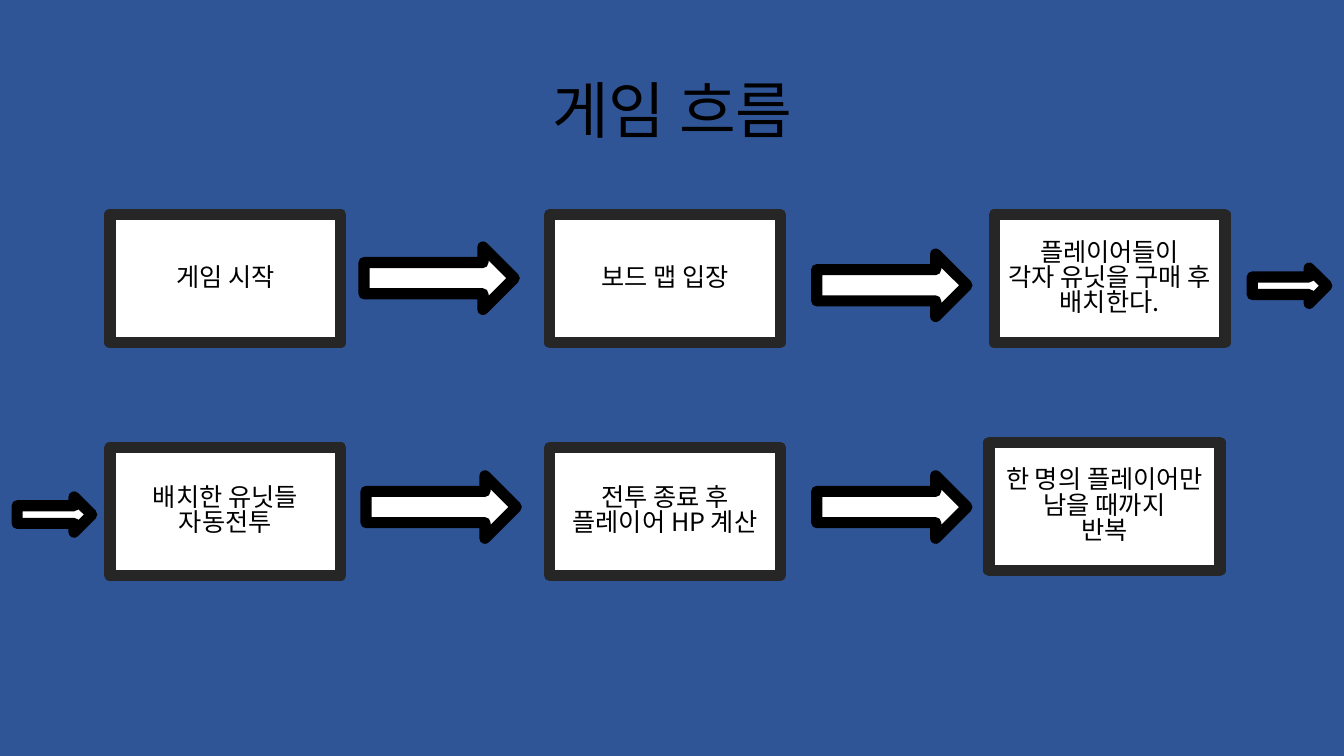
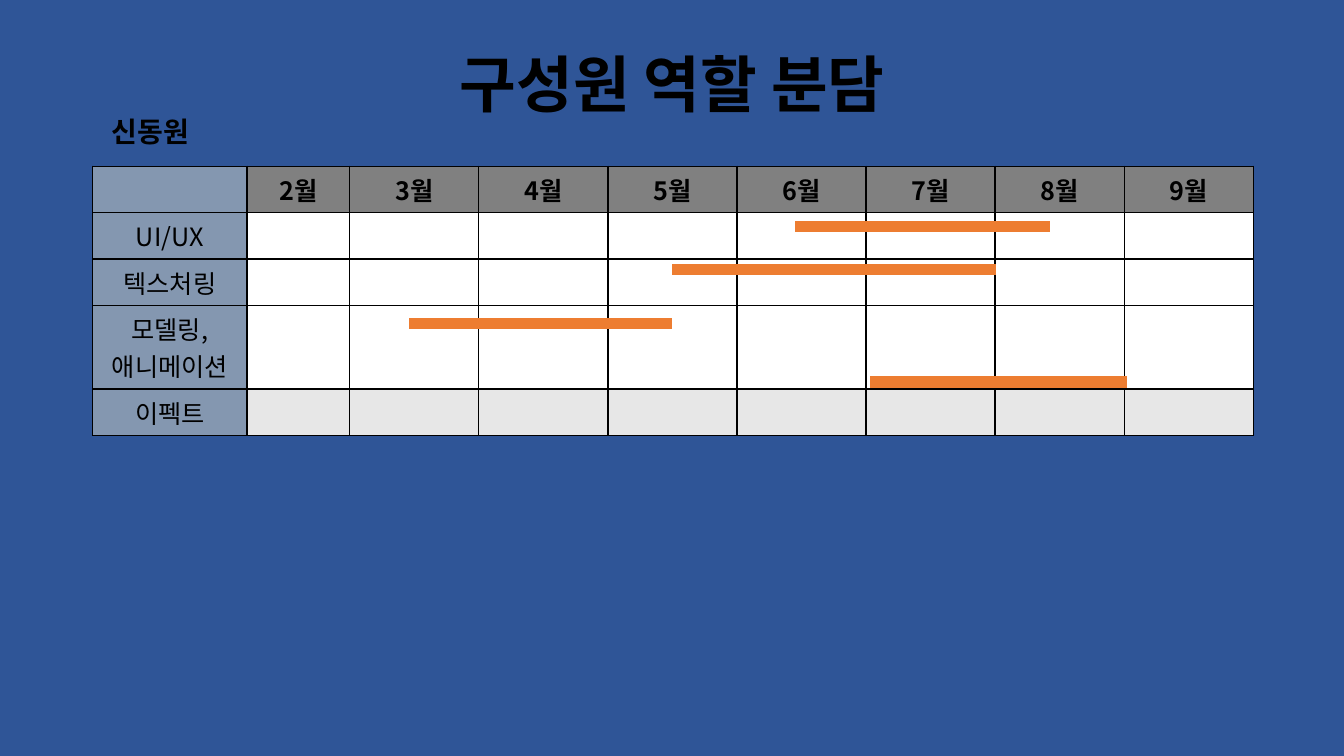
from lxml import etree
from pptx import Presentation
from pptx.dml.color import RGBColor
from pptx.enum.shapes import MSO_CONNECTOR, MSO_SHAPE
from pptx.enum.text import MSO_ANCHOR, PP_ALIGN
from pptx.oxml.ns import qn
from pptx.util import Inches, Pt

CENTER = PP_ALIGN.CENTER
MIDDLE = MSO_ANCHOR.MIDDLE
RECTANGLE = MSO_SHAPE.RECTANGLE
RIGHT_ARROW = MSO_SHAPE.RIGHT_ARROW
STRAIGHT = MSO_CONNECTOR.STRAIGHT

FONT = "Noto Sans CJK KR"
THICK = 8
COLORS = {
    "background": "2F5597",
    "text": "000000",
    "white": "FFFFFF",
    "frame": "262626",
    "arrow": "000000",
    "month": "808080",
    "task": "8497B0",
    "shaded": "E7E7E7",
    "border": "000000",
    "bar": "ED7D31",
}

STEPS = [
    (1.09, 2.13, "게임 시작"),
    (5.45, 2.13, "보드 맵 입장"),
    (9.86, 2.13, "플레이어들이\n각자 유닛을 구매 후 배치한다."),
    (1.09, 4.44, "배치한 유닛들\n자동전투"),
    (5.45, 4.44, "전투 종료 후\n플레이어 HP 계산"),
    (9.81, 4.39, "한 명의 플레이어만 남을 때까지\n반복"),
]
STEP_SIZE = (2.29, 1.27)
LONG_ARROWS = [(3.61, 2.45), (8.1, 2.52), (3.63, 4.72), (8.1, 4.72)]
LONG_SIZE = (1.49, 0.62)
SHORT_ARROWS = [(12.42, 2.66), (0.17, 4.93)]
SHORT_SIZE = (0.74, 0.35)

MONTHS = [f"{month}월" for month in range(2, 10)]
TASKS = ["UI/UX", "텍스처링", "모델링,\n애니메이션", "이펙트"]
COLUMN_WIDTHS = [1.53, 1.02] + [1.28] * 7
ROW_HEIGHTS = [0.46, 0.46, 0.46, 0.83, 0.46]
BARS = [(7.89, 10.41, 2.25), (4.06, 6.67, 3.21), (6.67, 9.88, 2.67), (8.63, 11.18, 3.79)]


def color(name):
    """Return a named colour of the palette."""
    return RGBColor.from_string(COLORS[name])


def write(frame, text, size=18, bold=False, spacing=None):
    """Fill a text frame with centred paragraphs in the shared font."""
    frame.text = text
    for para in frame.paragraphs:
        para.alignment = CENTER
        if spacing:
            para.line_spacing = spacing
        for span in para.runs:
            span.font.name = FONT
            span.font.size = Pt(size)
            span.font.bold = bold
            span.font.color.rgb = color("text")
            east_asian = etree.SubElement(span.font._element, qn("a:ea"))
            east_asian.set("typeface", FONT)


def add_label(page, position, text, size, bold=True):
    """Add a heading text box, centred both ways."""
    box = page.shapes.add_textbox(*map(Inches, position))
    box.text_frame.word_wrap = True
    box.text_frame.vertical_anchor = MIDDLE
    write(box.text_frame, text, size, bold, 0.9)


def add_outlined(page, kind, position, size, line):
    """Add a white shape with a thick outline."""
    shape = page.shapes.add_shape(kind, *map(Inches, position + size))
    shape.shadow.inherit = False
    shape.fill.solid()
    shape.fill.fore_color.rgb = color("white")
    shape.line.color.rgb = color(line)
    shape.line.width = Pt(THICK)
    return shape


def add_step(page, left, top, text):
    """Add one step of the game flow."""
    box = add_outlined(page, RECTANGLE, (left, top), STEP_SIZE, "frame")
    box.text_frame.word_wrap = True
    box.text_frame.vertical_anchor = MIDDLE
    write(box.text_frame, text, spacing=0.83)


def add_bar(page, start, end, top):
    """Add a schedule bar as a thick horizontal line."""
    bar = page.shapes.add_connector(STRAIGHT, *map(Inches, (start, top, end, top)))
    bar.line.color.rgb = color("bar")
    bar.line.width = Pt(THICK)
    etree.SubElement(bar._element.spPr, qn("a:effectLst"))


def style_cell(cell, fill):
    """Draw the four borders of a cell and fill it."""
    properties = cell._tc.get_or_add_tcPr()
    for side in ("lnL", "lnR", "lnT", "lnB"):
        border = etree.SubElement(properties, qn(f"a:{side}"), w=str(Pt(1)))
        solid = etree.SubElement(border, qn("a:solidFill"))
        etree.SubElement(solid, qn("a:srgbClr"), val=COLORS["border"])
    cell.fill.solid()
    cell.fill.fore_color.rgb = color(fill)


def cell_fill(row, column):
    """Choose the fill name for a place in the schedule."""
    if column == 0:
        return "task"
    if row == 0:
        return "month"
    return "shaded" if row == len(TASKS) else "white"


def add_schedule(page):
    """Add the table of tasks by month."""
    area = (0.92, 1.65, sum(COLUMN_WIDTHS), sum(ROW_HEIGHTS))
    frame = page.shapes.add_table(len(ROW_HEIGHTS), len(COLUMN_WIDTHS), *map(Inches, area))
    table = frame.table
    table.first_row = False
    table.horz_banding = False
    for column, width in zip(table.columns, COLUMN_WIDTHS):
        column.width = Inches(width)
    for row, height in zip(table.rows, ROW_HEIGHTS):
        row.height = Inches(height)
    for row in range(len(ROW_HEIGHTS)):
        for column in range(len(COLUMN_WIDTHS)):
            style_cell(table.cell(row, column), cell_fill(row, column))
    for column, month in enumerate(MONTHS, 1):
        write(table.cell(0, column).text_frame, month, bold=True)
    for row, task in enumerate(TASKS, 1):
        write(table.cell(row, 0).text_frame, task)


def build_flow(page):
    """Build the game flow slide."""
    add_label(page, (0.92, 0.4, 11.5, 1.45), "게임 흐름", 44, bold=False)
    for step in STEPS:
        add_step(page, *step)
    for arrows, size in ((LONG_ARROWS, LONG_SIZE), (SHORT_ARROWS, SHORT_SIZE)):
        for position in arrows:
            add_outlined(page, RIGHT_ARROW, position, size, "arrow")


def build_roles(page):
    """Build the role schedule slide."""
    add_label(page, (4.12, 0.41, 5.1, 0.92), "구성원 역할 분담", 44)
    add_schedule(page)
    for bar in BARS:
        add_bar(page, *bar)
    add_label(page, (0.92, 1.03, 1.14, 0.59), "신동원", 20)


def main():
    """Build and save the deck."""
    deck = Presentation()
    deck.slide_width = Inches(13.33)
    deck.slide_height = Inches(7.5)
    background = deck.slide_master.background.fill
    background.solid()
    background.fore_color.rgb = color("background")
    for build in (build_flow, build_roles):
        build(deck.slides.add_slide(deck.slide_layouts[6]))
    deck.save("out.pptx")


if __name__ == "__main__":
    main()
